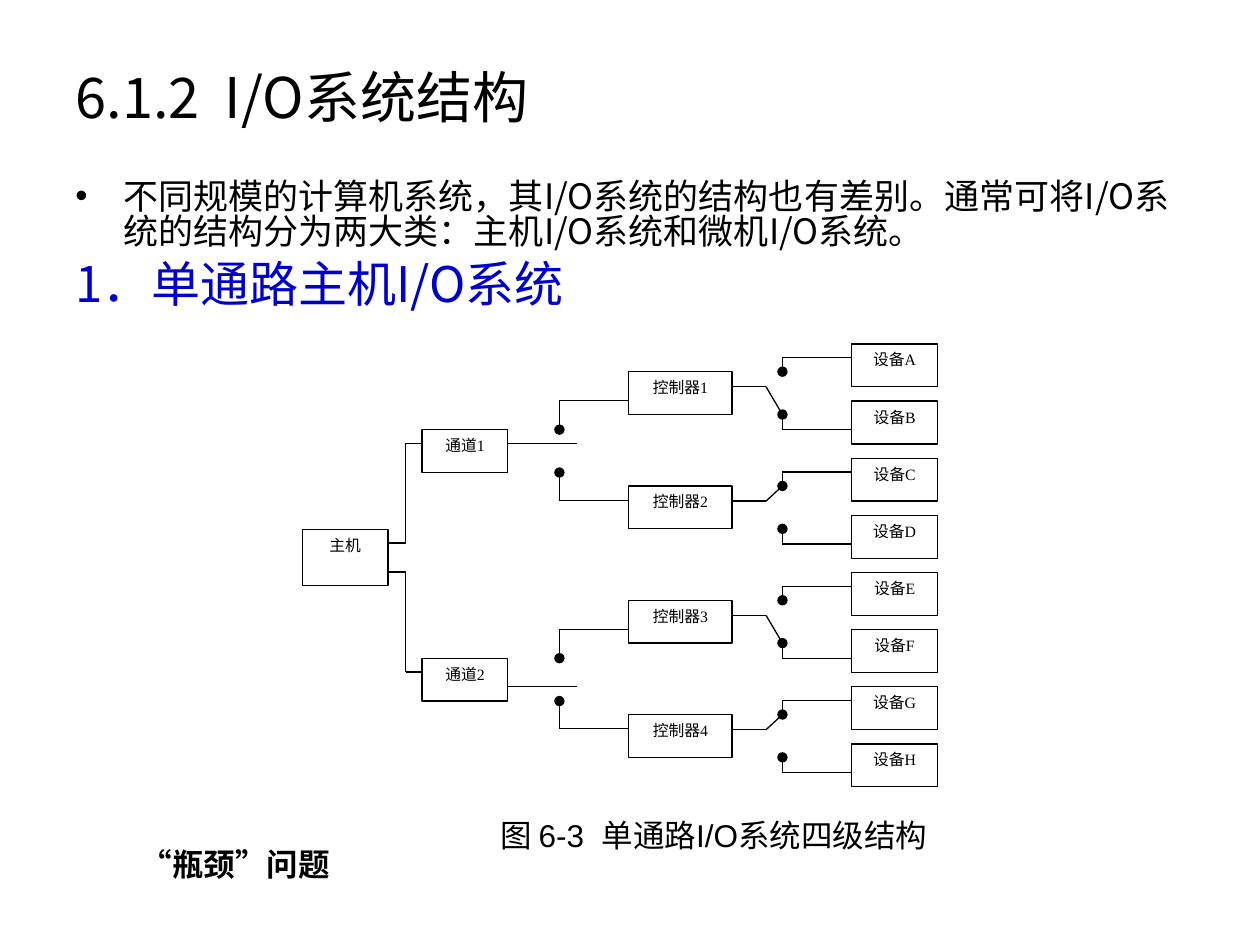
from lxml.etree import SubElement
from pptx import Presentation
from pptx.dml.color import RGBColor
from pptx.enum.shapes import MSO_CONNECTOR, MSO_SHAPE
from pptx.enum.text import MSO_ANCHOR, PP_ALIGN
from pptx.oxml.ns import qn
from pptx.util import Inches, Pt


class Theme:
    black = RGBColor(0, 0, 0)
    white = RGBColor(255, 255, 255)
    blue = RGBColor(0, 0, 0xCC)
    sans, arial, times = "Noto Sans CJK SC", "Arial", "Times New Roman"
    title, head, body, note, label = Pt(32), Pt(28), Pt(20), Pt(18), Pt(9)
    line = Pt(0.75)


def write(par, text, size, face, color=Theme.black):
    par.text = text
    font = par.font
    font.size, font.name, font.color.rgb = size, face, color
    props = par._p.pPr.find(qn("a:defRPr"))
    SubElement(props, qn("a:ea"), typeface=Theme.sans)


def wire(start, end, dot=False):
    """Draw a line, with a round contact at its end if dot is set."""
    link = chart.add_connector(
        MSO_CONNECTOR.STRAIGHT, *map(Inches, (*start, *end)))
    link.line.color.rgb, link.line.width = Theme.black, Theme.line
    if dot:
        SubElement(link.line._get_or_add_ln(), qn("a:tailEnd"), type="oval")
    SubElement(link._element.spPr, qn("a:effectLst"))


deck = Presentation()
deck.slide_width, deck.slide_height = Inches(10), Inches(7.5)
slide = deck.slides.add_slide(deck.slide_layouts[6])

# Text: place, anchor, wrap
frames = []
for place, anchor, wrap in [
    ((0.5, 0.3, 9, 0.93), MSO_ANCHOR.MIDDLE, True),
    ((0.5, 1.39, 9, 5.31), MSO_ANCHOR.TOP, True),
    ((3.87, 6.43, 3.88, 0.4), MSO_ANCHOR.MIDDLE, False),
    ((1.02, 6.66, 1.7, 0.4), MSO_ANCHOR.TOP, False),
]:
    frame = slide.shapes.add_textbox(*map(Inches, place)).text_frame
    frame.vertical_anchor, frame.word_wrap = anchor, wrap
    frames.append(frame)
title, body, note, issue = frames

write(title.paragraphs[0], "6.1.2  I/O系统结构", Theme.title, Theme.sans)
write(note.paragraphs[0], "图 6-3  单通路I/O系统四级结构", Theme.note, Theme.arial)
write(issue.paragraphs[0], "“瓶颈”问题", Theme.note, Theme.arial)
issue.paragraphs[0].font.bold = True

intro, head = body.paragraphs[0], body.add_paragraph()
for par, gap in (intro, 5), (head, 7):
    par.space_before, par.line_spacing = Pt(gap), 0.83
    props = par._p.get_or_add_pPr()
    props.set("marL", str(Inches(0.38)))
    props.set("indent", str(Inches(-0.38)))
SubElement(intro._p.pPr, qn("a:buFont"), typeface=Theme.arial)
SubElement(intro._p.pPr, qn("a:buChar"), char="•")
write(intro, "不同规模的计算机系统，其I/O系统的结构也有差别。通常可将I/O系统的结构"
      "分为两大类：主机I/O系统和微机I/O系统。", Theme.body, Theme.sans)
write(head, "1．单通路主机I/O系统", Theme.head, Theme.sans, Theme.blue)

# Tree: each level doubles the step of the next one
chart = slide.shapes.add_group_shape().shapes
top, step = 2.73, 0.4535
boxes = [("主机", 2.4, 4.2, 0.68, 0.45)]
boxes += [(f"通道{i + 1}", 3.35, top + 0.68 + 4 * step * i, 0.68, 0.34)
          for i in range(2)]
boxes += [(f"控制器{i + 1}", 4.99, top + 0.22 + 2 * step * i, 0.82, 0.34)
          for i in range(4)]
boxes += [(f"设备{name}", 6.76, top + step * i, 0.68, 0.34)
          for i, name in enumerate("ABCDEFGH")]
for text, *place in boxes:
    box = chart.add_shape(MSO_SHAPE.RECTANGLE, *map(Inches, place))
    box.shadow.inherit = False
    box.fill.solid()
    box.fill.fore_color.rgb = Theme.white
    box.line.color.rgb, box.line.width = Theme.black, Theme.line
    box.text_frame.vertical_anchor = MSO_ANCHOR.TOP
    par = box.text_frame.paragraphs[0]
    par.alignment = PP_ALIGN.CENTER
    write(par, text, Theme.label, Theme.times)

# Contacts: right end, switch column, line height, dot height
links = []
for i in range(4):
    y = top + 2 * step * i
    links += [(6.76, 6.21, y + 0.11, y + 0.22), (6.76, 6.21, y + 0.68, y + 0.56)]
    mid = y + 0.34
    wire((5.81, mid), (6.08, mid))
    wire((6.08, mid), (6.21, y + (0.22 if i % 2 else 0.56)))

for i, (port, arm) in enumerate([(4.31, 3.52), (4.54, 5.45)]):
    y = top + 4 * step * i
    links += [(4.99, 4.44, y + 0.45, y + 0.68), (4.99, 4.44, y + 1.24, y + 1.02)]
    mid = y + 0.79
    wire((4.03, arm), (4.58, arm))
    wire((3.08, port), (3.22, port))
    wire((3.22, port), (3.22, mid))
    wire((3.22, mid), (3.35, mid))

for right, left, y, tip in links:
    wire((right, y), (left, y))
    wire((left, y), (left, tip), dot=True)

deck.save("out.pptx")
